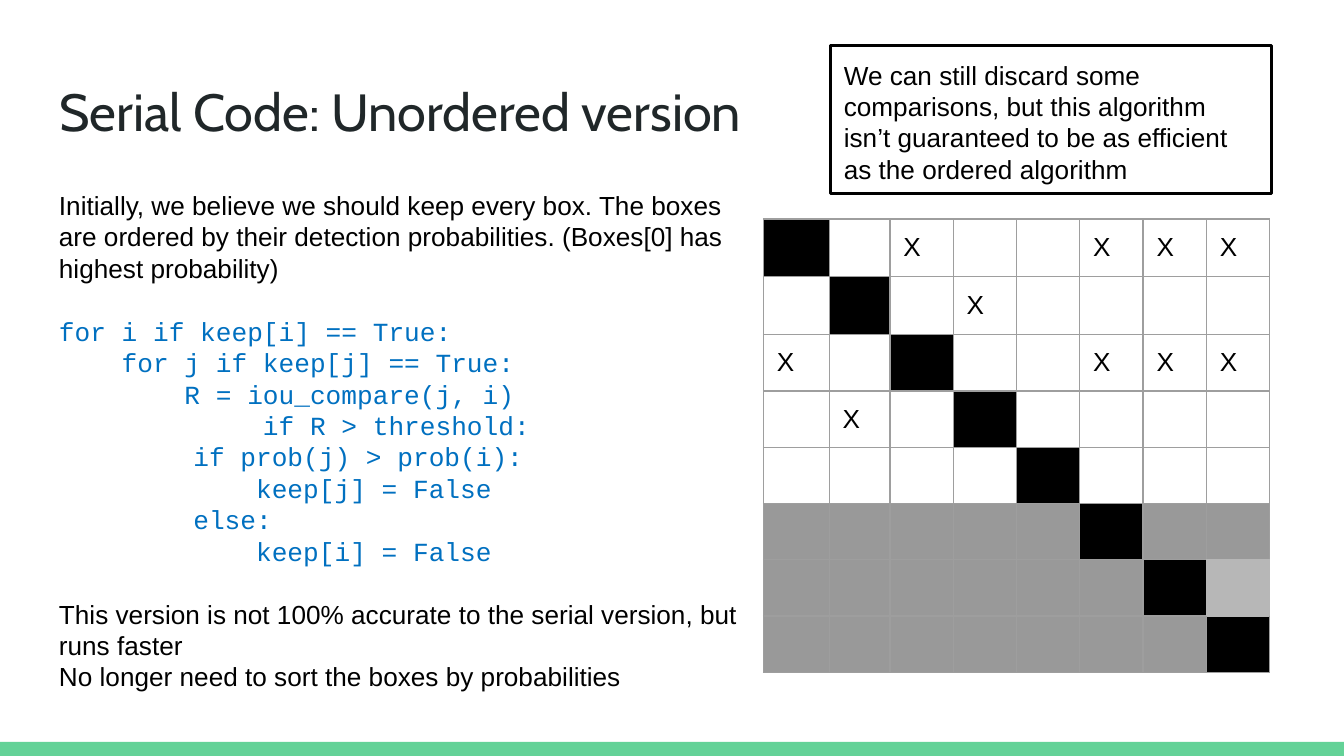
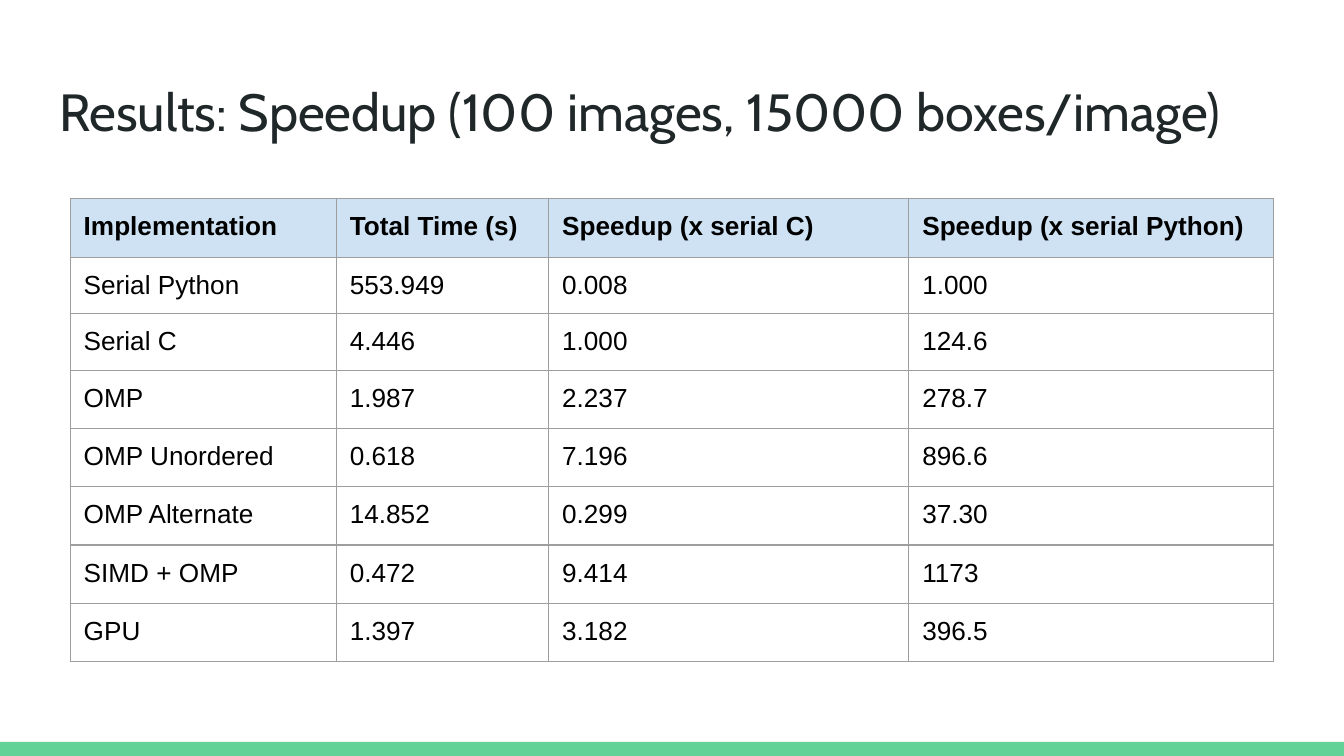
from lxml import etree
from pptx import Presentation
from pptx import util as u
from pptx.dml.color import RGBColor
from pptx.enum import shapes, text
from pptx.oxml.ns import qn

BLACK = RGBColor(0x00, 0x00, 0x00)
WHITE = RGBColor(0xFF, 0xFF, 0xFF)
GREEN = RGBColor(0x63, 0xD2, 0x97)
TITLE_INK = RGBColor(0x20, 0x27, 0x29)
CODE_BLUE = RGBColor(0x00, 0x70, 0xC0)
HEADER_BLUE = RGBColor(0xCF, 0xE2, 0xF3)
GRID_GRAY = RGBColor(0x9E, 0x9E, 0x9E)
SKIPPED_GRAY = RGBColor(0x99, 0x99, 0x99)
PALE_GRAY = RGBColor(0xB7, 0xB7, 0xB7)

BODY_FONT, CODE_FONT, TITLE_FONT = "Arial", "Courier New", "Cabin"
BODY_SIZE = u.Pt(14)
INSET = u.Inches(0.1)

deck = Presentation()
deck.slide_width = u.Inches(10)
deck.slide_height = deck.slide_width * 9 // 16
UNIT = deck.slide_width // 1000  # every length is in thousandths of the width


def set_borders(cell, sides, color):
    """Draw thin lines on the given sides, a string of the letters L, R, T and B."""
    properties = cell._tc.get_or_add_tcPr()
    for side in sides:
        tag = qn(f"a:ln{side}")
        line = properties.find(tag)
        if line is None:
            line = etree.Element(tag, w=str(u.Pt(0.75)))
            properties.insert("LRTB".index(side), line)
            fill = etree.SubElement(line, qn("a:solidFill"))
            etree.SubElement(fill, qn("a:srgbClr"))
        line[0][0].set("val", str(color))


def add_grid(slide, left, top, widths, heights, rows):
    """Add a plain ruled table; rows hold (words, fill, bold) for each cell."""
    frame = slide.shapes.add_table(
        len(heights), len(widths), int(left * UNIT), int(top * UNIT),
        int(sum(widths) * UNIT), int(sum(heights) * UNIT))
    table = frame.table
    table.first_row = table.horz_banding = False
    for column, width in zip(table.columns, widths):
        column.width = int(width * UNIT)
    for row, height, contents in zip(table.rows, heights, rows):
        row.height = int(height * UNIT)
        for cell, (words, fill, bold) in zip(row.cells, contents):
            cell.margin_left = cell.margin_right = INSET
            cell.margin_top = cell.margin_bottom = INSET
            cell.fill.solid()
            cell.fill.fore_color.rgb = fill
            set_borders(cell, "LRTB", GRID_GRAY)
            para = cell.text_frame.paragraphs[0]
            para.text = words
            for span in para.runs:
                span.font.name, span.font.size = BODY_FONT, BODY_SIZE
                span.font.bold, span.font.color.rgb = bold, BLACK
            ending = etree.SubElement(para._p, qn("a:endParaRPr"), sz="1400")
            etree.SubElement(ending, qn("a:latin"), typeface=BODY_FONT)
    return table


# Shared page: green band on the layout, title at the top left
layout = deck.slide_layouts.get_by_name("Title Only")
pages = []
for heading in ("Serial Code: Unordered version",
                "Results: Speedup (100 images, 15000 boxes/image)"):
    page = deck.slides.add_slide(layout)
    title = page.shapes.title
    title.left, title.top = 34 * UNIT, 49 * UNIT
    title.width, title.height = 932 * UNIT, 63 * UNIT
    frame = title.text_frame
    frame.text = heading
    frame.word_wrap = True
    frame.auto_size = text.MSO_AUTO_SIZE.NONE
    frame.vertical_anchor = text.MSO_ANCHOR.TOP
    frame.margin_left = frame.margin_right = INSET
    frame.margin_top = frame.margin_bottom = INSET
    para = frame.paragraphs[0]
    para.alignment = text.PP_ALIGN.LEFT
    font = para.runs[0].font
    font.name, font.size, font.color.rgb = TITLE_FONT, u.Pt(28), TITLE_INK
    pages.append(page)
code_page, results_page = pages

band_top = 552 * UNIT
band = code_page.shapes.add_shape(
    shapes.MSO_SHAPE.RECTANGLE, 0, band_top,
    deck.slide_width, deck.slide_height - band_top)
band.shadow.inherit = False
band.fill.solid()
band.fill.fore_color.rgb = GREEN
band.line.fill.background()
layout.shapes.element.append(band.element)

# Slide 1: comparison matrix, code and callout
MARKS = ["  X  XXX",
         "   X    ",
         "X    XXX",
         " X      ",
         "        ",
         "        ",
         "        ",
         "        "]
FIRST_SKIPPED = 5
matrix_rows = []
for i, marks in enumerate(MARKS):
    rest = SKIPPED_GRAY if i >= FIRST_SKIPPED else WHITE
    matrix_rows.append([(mark.strip(), BLACK if i == j else rest, False)
                        for j, mark in enumerate(marks)])
matrix_rows[6][7] = ("", PALE_GRAY, False)
matrix = add_grid(code_page, 568, 163, [49, 45.2] + [47.1] * 6,
                  [43] * 2 + [41.8] * 6, matrix_rows)
for i, j, sides in ((6, 7, "LRTB"), (5, 7, "B"), (6, 6, "R"), (7, 7, "T")):
    set_borders(matrix.cell(i, j), sides, PALE_GRAY)

INTRO = ["Initially, we believe we should keep every box. The boxes are ordered "
         "by their detection probabilities. (Boxes[0] has highest probability)"]
CODE = ["for i if keep[i] == True:",
        "    for j if keep[j] == True:",
        "        R = iou_compare(j, i)",
        "             if R > threshold:",
        "\tif prob(j) > prob(i):",
        "\t    keep[j] = False",
        "\telse:",
        "\t    keep[i] = False"]
CLOSING = ["This version is not 100% accurate to the serial version, but runs faster",
           "No longer need to sort the boxes by probabilities"]
CALLOUT = ["We can still discard some comparisons, but this algorithm isn’t "
           "guaranteed to be as efficient as the ordered algorithm"]

body = code_page.shapes.add_textbox(34 * UNIT, 131 * UNIT, 541 * UNIT, 400 * UNIT)
callout = code_page.shapes.add_shape(
    shapes.MSO_SHAPE.RECTANGLE, 618 * UNIT, 34 * UNIT, 328 * UNIT, 110 * UNIT)
callout.shadow.inherit = False
callout.fill.background()
callout.line.color.rgb, callout.line.width = BLACK, u.Pt(1.5)

for box, groups in ((body, (INTRO, CODE, CLOSING)), (callout, (CALLOUT,))):
    frame = box.text_frame
    frame.word_wrap = True
    frame.vertical_anchor = text.MSO_ANCHOR.TOP
    frame.margin_left = frame.margin_right = INSET
    frame.margin_top = frame.margin_bottom = INSET
    frame.text = "\n".join(line for group in groups for line in group)
    paragraphs = iter(frame.paragraphs)
    for group in groups:
        is_code = group is CODE
        for number, line in enumerate(group):
            para = next(paragraphs)
            para.alignment = text.PP_ALIGN.LEFT
            if "\t" in line:
                stops = etree.SubElement(para._p.get_or_add_pPr(), qn("a:tabLst"))
                etree.SubElement(stops, qn("a:tab"), pos=str(u.Inches(1)), algn="l")
            if number == 0 and group is not groups[0]:
                para.space_before = u.Pt(17)
            for span in para.runs:
                span.font.name = CODE_FONT if is_code else BODY_FONT
                span.font.size = BODY_SIZE
                span.font.color.rgb = CODE_BLUE if is_code else BLACK

# Slide 2: timing table
RESULTS = [
    ("Implementation", "Total Time (s)", "Speedup (x serial C)", "Speedup (x serial Python)"),
    ("Serial Python", "553.949", "0.008", "1.000"),
    ("Serial C", "4.446", "1.000", "124.6"),
    ("OMP", "1.987", "2.237", "278.7"),
    ("OMP Unordered", "0.618", "7.196", "896.6"),
    ("OMP Alternate", "14.852", "0.299", "37.30"),
    ("SIMD + OMP", "0.472", "9.414", "1173"),
    ("GPU", "1.397", "3.182", "396.5"),
]
result_rows = [[(words, WHITE if i else HEADER_BLUE, i == 0) for words in row]
               for i, row in enumerate(RESULTS)]
add_grid(results_page, 52.3, 147.5, [198, 158, 268, 271.5],
         [44, 42, 42] + [43.4] * 5, result_rows)

deck.save("out.pptx")
